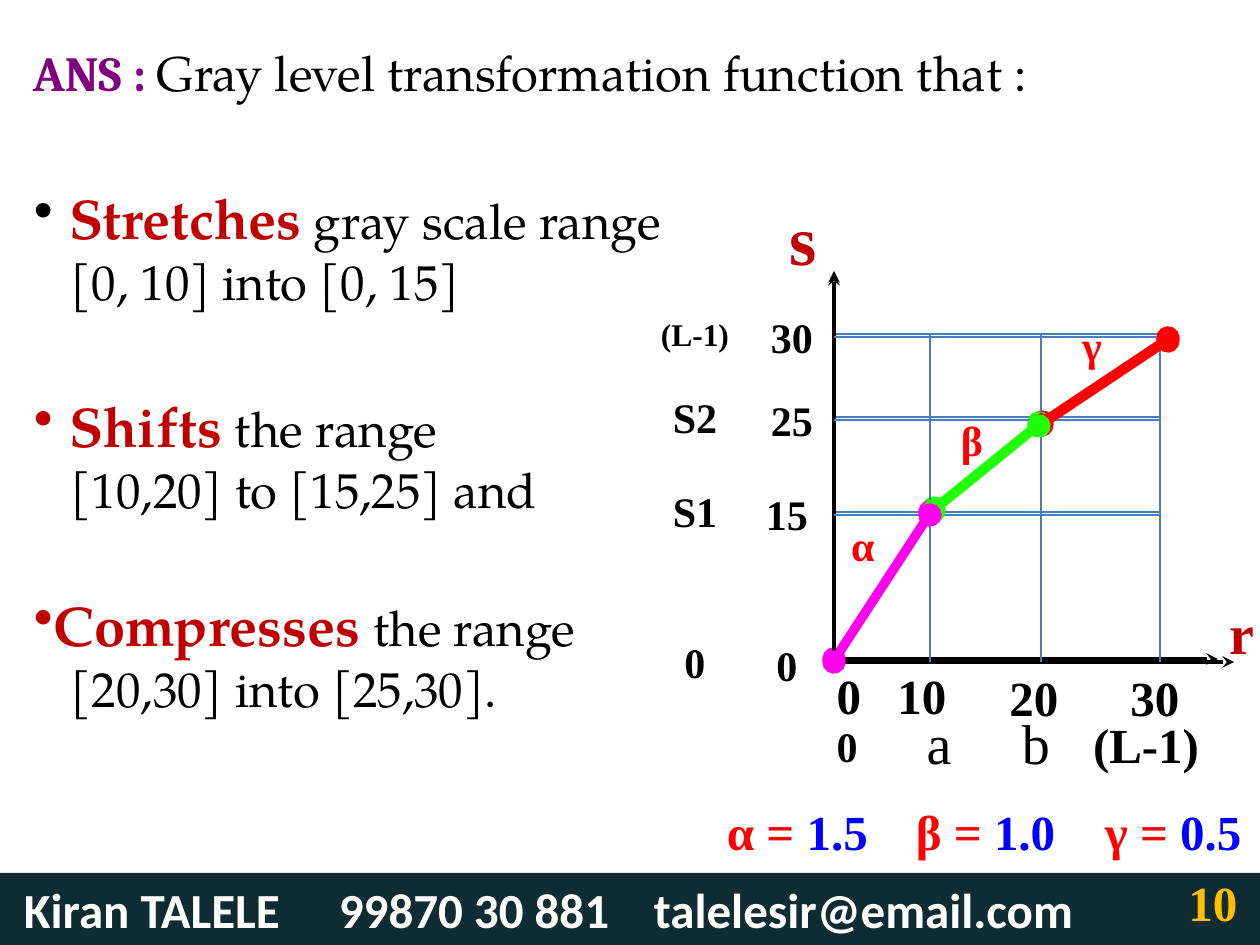
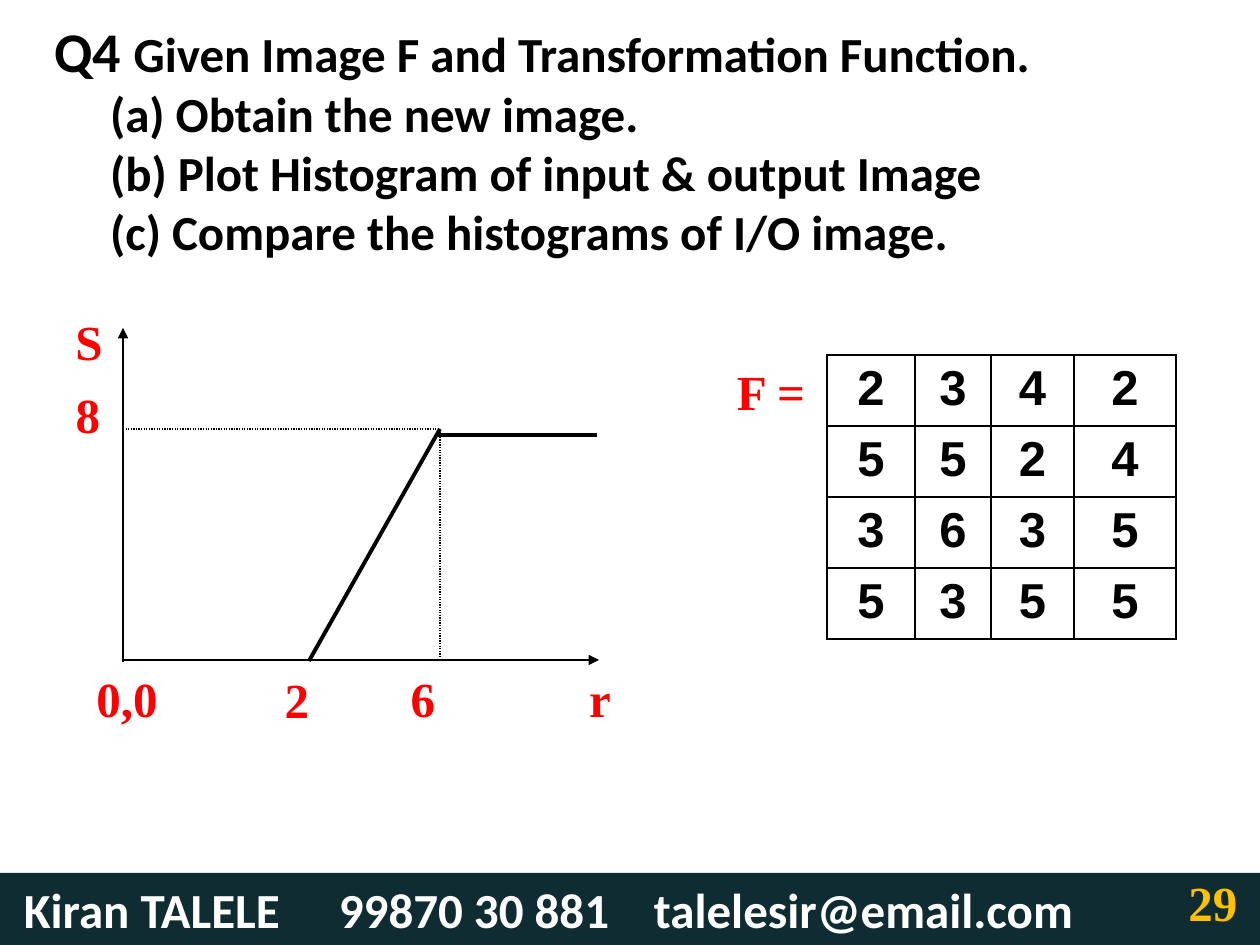
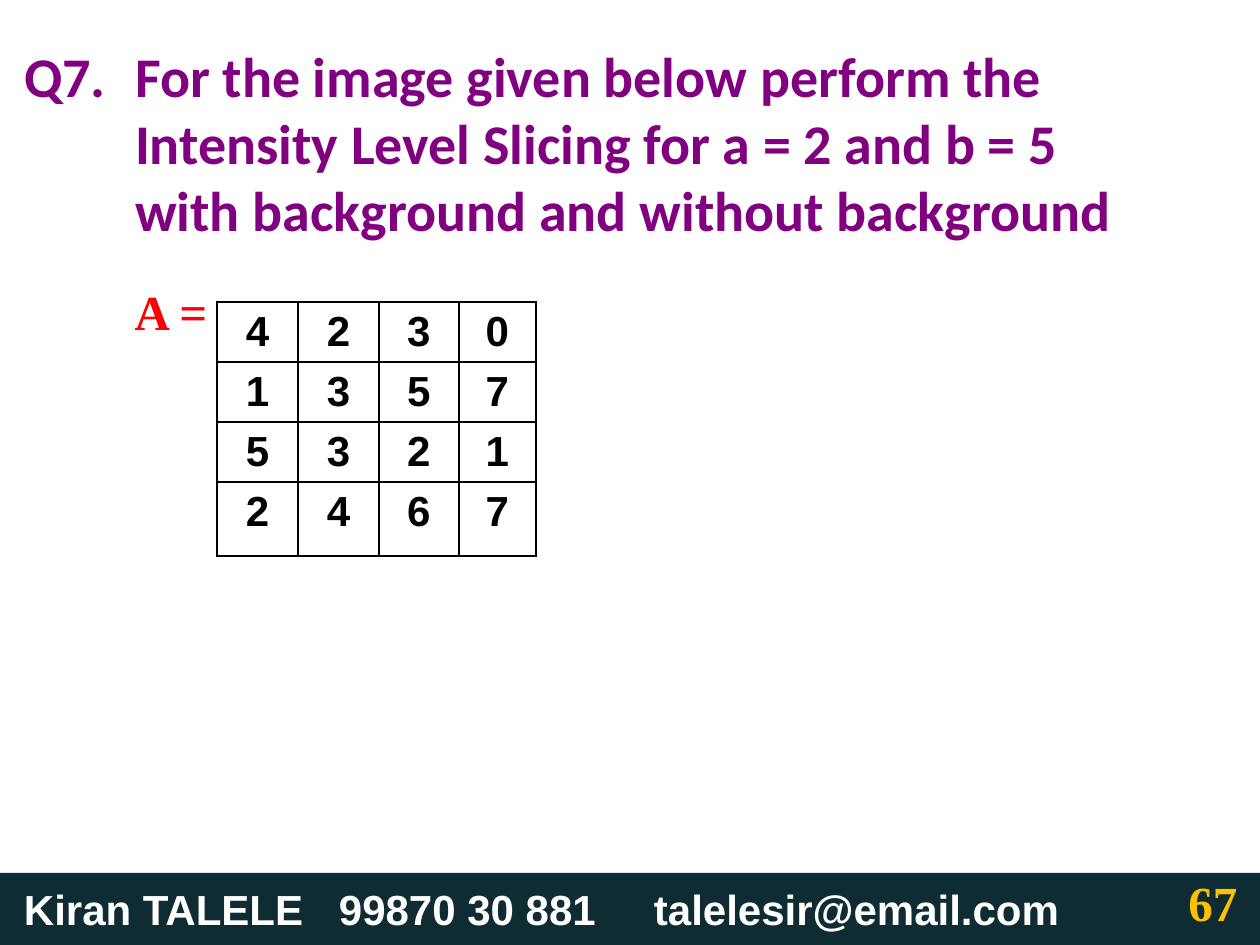
import pptx
import pptx.dml.color
import pptx.enum.dml
import pptx.enum.shapes
import pptx.enum.text
import pptx.oxml.ns
import pptx.util
from lxml import etree

SCALE = 914400 // 126  # EMU per px
SERIF, SANS, BOOK = "Times New Roman", "Calibri", "TeX Gyre Pagella"
BLACK, WHITE, RED, CRIMSON = "000000", "FFFFFF", "FF0000", "C00000"
PURPLE, BLUE, GRID, BAND, GOLD = "800080", "0000FF", "4A7DBA", "102C33", "FFC000"
ALIGN = pptx.enum.text.PP_ALIGN
ANCHOR = pptx.enum.text.MSO_ANCHOR


def px(length):
    return pptx.util.Emu(length * SCALE)


def rgb(color):
    return pptx.dml.color.RGBColor.from_string(color)


def sub(parent, tag, **attributes):
    child = etree.SubElement(parent, pptx.oxml.ns.qn("a:" + tag))
    for key, value in attributes.items():
        child.set(key, str(value))
    return child


def write(paragraph, text, font=SERIF, size=28, color=BLACK, bold=True,
          align=None, margin=None, hang=0, bullet=None, tabs=()):
    """Append one run, and set the paragraph format that is given."""
    if align is not None:
        paragraph.alignment = align
    if margin is not None or bullet or tabs:
        properties = paragraph._p.get_or_add_pPr()
        properties.set("marL", str(px(margin or 0)))
        properties.set("indent", str(-px(hang)))
        if bullet:
            sub(sub(properties, "buClr"), "srgbClr", val=bullet)
            sub(properties, "buChar", char="•")
        if tabs:
            stops = sub(properties, "tabLst")
            for stop in tabs:
                sub(stops, "tab", pos=px(stop), algn="l")
    run = paragraph.add_run()
    run.text = text
    run.font.name, run.font.size, run.font.bold = font, pptx.util.Pt(size), bold
    run.font.color.rgb = rgb(color)


class Deck:
    def __init__(self):
        self.file = pptx.Presentation()
        self.file.slide_width, self.file.slide_height = px(1260), px(945)
        self.slide = None

    def new_slide(self, *box):
        """Start a slide and return the first paragraph of its title."""
        self.slide = self.file.slides.add_slide(self.file.slide_layouts[5])
        title = self.slide.shapes.title
        title.left, title.top, title.width, title.height = map(px, box)
        return self.prepare(title.text_frame)

    def prepare(self, frame, side=12, edge=6):
        frame.word_wrap = True
        frame.auto_size = pptx.enum.text.MSO_AUTO_SIZE.NONE
        frame.vertical_anchor = ANCHOR.MIDDLE
        frame.margin_left = frame.margin_right = px(side)
        frame.margin_top = frame.margin_bottom = px(edge)
        frame.paragraphs[0].alignment = ALIGN.LEFT
        return frame.paragraphs[0]

    def text(self, *box):
        """Add a text box and return its frame."""
        frame = self.slide.shapes.add_textbox(*map(px, box)).text_frame
        self.prepare(frame, 0, 0)
        return frame

    def label(self, text, x, y, width=90, **style):
        """Add a short text centred on a point."""
        frame = self.text(x - width // 2, y - 36, width, 72)
        write(frame.paragraphs[0], text, align=ALIGN.CENTER, **style)

    def line(self, x1, y1, x2, y2, color=BLACK, width=0.75, head=None, tail=None, dotted=False):
        link = self.slide.shapes.add_connector(
            pptx.enum.shapes.MSO_CONNECTOR.STRAIGHT, *map(px, (x1, y1, x2, y2)))
        link.line.color.rgb = rgb(color)
        link.line.width = pptx.util.Pt(width)
        if dotted:
            link.line.dash_style = pptx.enum.dml.MSO_LINE.ROUND_DOT
        outline = link.line._get_or_add_ln()
        for end, kind in (("headEnd", head), ("tailEnd", tail)):
            if kind:
                sub(outline, end, type=kind)
        sub(link._element.spPr, "effectLst")

    def matrix(self, left, top, columns, rows, values, size):
        frame = self.slide.shapes.add_table(
            len(rows), len(columns), *map(px, (left, top, sum(columns), sum(rows))))
        table = frame.table
        table.first_row = table.horz_banding = False
        for column, width in zip(table.columns, columns):
            column.width = px(width)
        for row, height, digits in zip(table.rows, rows, values):
            row.height = px(height)
            for cell, digit in zip(row.cells, digits):
                write(cell.text_frame.paragraphs[0], digit, font="Arial", size=size,
                      align=ALIGN.CENTER)
                properties = cell._tc.get_or_add_tcPr()
                for side in ("lnL", "lnR", "lnT", "lnB"):
                    border = sub(properties, side, w=pptx.util.Pt(1))
                    sub(sub(border, "solidFill"), "srgbClr", val=BLACK)
                cell.fill.background()

    def footer(self, number, tabs, phone="99870 30 881", font=SANS, size=28):
        band = self.slide.shapes.add_shape(
            pptx.enum.shapes.MSO_SHAPE.RECTANGLE, *map(px, (0, 873, 1260, 72)))
        band.shadow.inherit = False
        band.fill.solid()
        band.fill.fore_color.rgb = rgb(BAND)
        band.line.fill.background()
        contact = self.prepare(band.text_frame, 24)
        write(contact, f"Kiran TALELE\t{phone}\ttalelesir@email.com", font=font, size=size,
              color=WHITE, tabs=tabs)
        self.label(number, 1213, 902, color=GOLD)


def stretching_slide(deck):
    title = deck.new_slide(21, 40, 1218, 64)
    write(title, "ANS : ", font="Cambria", color=PURPLE)
    write(title, "Gray level transformation function that :", font=BOOK, bold=False)

    # Effects on each range
    effects = [
        (247, 35, BLACK, "Stretches", " gray scale range", "[0, 10] into [0, 15]"),
        (455, 35, CRIMSON, "Shifts", " the range", "[10,20] to [15,25] and"),
        (654, 20, CRIMSON, "Compresses", " the range", "[20,30] into [25,30]."),
    ]
    for middle, hang, dot, effect, subject, ranges in effects:
        frame = deck.text(34, middle - 66, 640, 132)
        lead = frame.paragraphs[0]
        write(lead, effect, font=BOOK, size=32, color=CRIMSON, margin=hang, hang=hang, bullet=dot)
        write(lead, subject, font=BOOK, bold=False)
        write(frame.add_paragraph(), ranges, font=BOOK, bold=False, margin=37)

    # Axes, grid and the three segments, drawn twice with a small shift
    for shift, axis_end in ((0, 1218), (3, 1234)):
        base, top = 659 + shift, 334 + shift
        deck.line(834, base, axis_end, base, width=2.25, tail="stealth")
        deck.line(834, base, 834, 271 + shift, width=2.25, tail="stealth")
        for level in (334, 417, 512):
            deck.line(834, level + shift, 1160, level + shift, color=GRID)
        for gray in (930, 1041, 1160):
            deck.line(gray, base, gray, top, color=GRID)
        for x1, y1, x2, y2, color in ((1042, 422, 1168, 338, RED),
                                      (934, 508, 1039, 423, "21FF06"),
                                      (834, 659, 930, 512, "FC04EB")):
            deck.line(x1, y1 + shift, x2, y2 + shift, color=color, width=4.5,
                      head="oval", tail="oval")

    # Axis values and their symbols
    for value, symbol, x, y, size in (("30", "(L-1)", 792, 337, 18), ("25", "S2", 792, 420, 24),
                                      ("15", "S1", 787, 514, 24), ("0", "0", 787, 665, 24)):
        deck.label(value, x, y, size=24)
        deck.label(symbol, 695, y - 3, size=size)
    for value, x, y in (("0", 849, 695), ("10", 922, 695), ("20", 1034, 697), ("30", 1155, 697)):
        deck.label(value, x, y)
    for symbol, x, y, size, bold in (("0", 847, 746, 24, True), ("a", 939, 742, 32, False),
                                     ("b", 1036, 742, 32, False), ("(L-1)", 1146, 744, 28, True)):
        deck.label(symbol, x, y, width=120, size=size, bold=bold)
    deck.label("s", 803, 238, size=40, color=CRIMSON)
    deck.label("r", 1242, 632, width=36, size=32, color=CRIMSON)

    # Slopes
    for slope, x, y in (("α", 863, 545), ("β", 972, 440), ("γ", 1092, 345)):
        deck.label(slope, x, y, size=24, color=RED)
    slopes = deck.text(727, 795, 533, 72).paragraphs[0]
    write(slopes, "α =", color=RED, tabs=(190, 377))
    write(slopes, " 1.5", color=BLUE)
    for slope, value in (("β", "1.0"), ("γ", "0.5")):
        write(slopes, f"\t{slope} =", color=RED)
        write(slopes, f" {value}", color=BLUE)
    deck.footer("10", (323, 636))


def histogram_slide(deck):
    title = deck.new_slide(42, 14, 1197, 248)
    write(title, "Q4 ", font=SANS, size=32)
    write(title, "Given Image F and Transformation Function.", font=SANS)
    for task in ("(a) Obtain the new image.",
                 "(b) Plot Histogram of input & output Image",
                 "(c) Compare the histograms of I/O image."):
        write(deck.slide.shapes.title.text_frame.add_paragraph(), task, font=SANS,
              align=ALIGN.LEFT, margin=56)

    # Transformation function
    deck.line(123, 662, 123, 328, tail="triangle")
    deck.line(123, 660, 599, 660, tail="triangle")
    deck.line(123, 429, 440, 429, dotted=True)
    deck.line(440, 429, 440, 661, dotted=True)
    deck.line(309, 661, 440, 429, width=2.25)
    deck.line(437, 435, 597, 435, width=2.25)
    for mark, x, y in (("S", 89, 341), ("8", 88, 414), ("0,0", 127, 698), ("2", 297, 699),
                       ("6", 423, 698), ("r", 600, 698), ("F =", 771, 391)):
        deck.label(mark, x, y, color=RED)

    deck.matrix(827, 355, (88, 76, 83, 102), (71,) * 4, ("2342", "5524", "3635", "5355"), 28)
    deck.footer("29", (323, 647))


def slicing_slide(deck):
    title = deck.new_slide(12, 63, 1164, 158)
    write(title, "Q7.\tFor the image given below perform the Intensity Level Slicing for "
          "a = 2 and b = 5 with background and without background",
          font=SANS, size=32, color=PURPLE, margin=111, hang=111)
    deck.label("A =", 171, 311, color=RED)
    deck.matrix(217, 302, (81, 81, 80, 77), (60, 60, 60, 74),
                ("4230", "1357", "5321", "2467"), 24)
    deck.footer("67", (349, 653), font="Arial", size=24)


def main():
    deck = Deck()
    stretching_slide(deck)
    histogram_slide(deck)
    slicing_slide(deck)
    deck.file.save("out.pptx")


if __name__ == "__main__":
    main()
